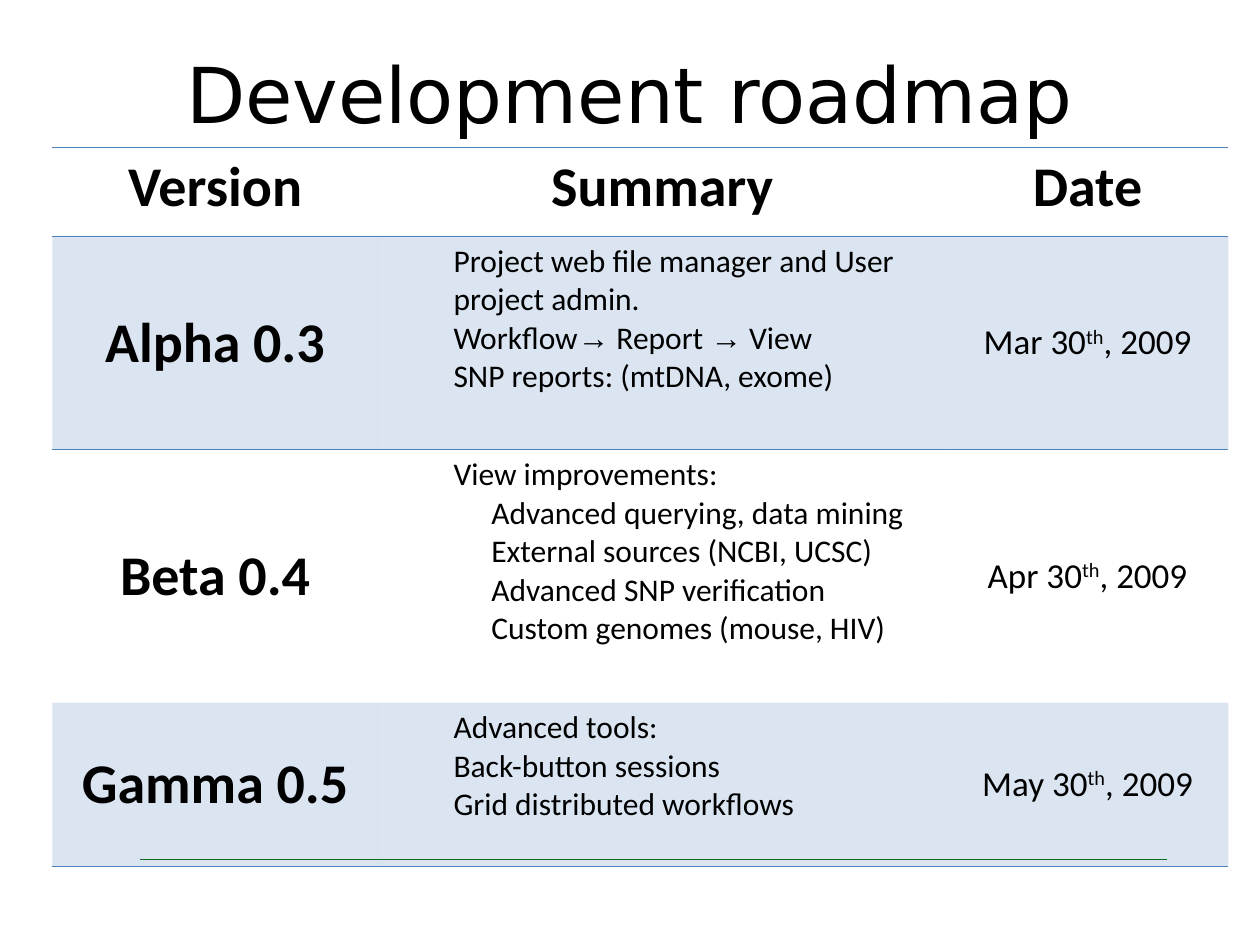
from itertools import groupby

from lxml import etree
from pptx import Presentation
from pptx.dml.color import RGBColor
from pptx.enum.shapes import MSO_CONNECTOR
from pptx.enum.text import MSO_ANCHOR, PP_ALIGN
from pptx.oxml.ns import qn
from pptx.util import Pt

CENTER, LEFT = PP_ALIGN.CENTER, PP_ALIGN.LEFT
TOP, MIDDLE = MSO_ANCHOR.TOP, MSO_ANCHOR.MIDDLE
STRAIGHT = MSO_CONNECTOR.STRAIGHT
NO_STYLE = "{2D5ABB26-0587-4C30-8999-92F81FD0307C}"
BLACK, BLUE, GREEN = "000000", "4F81BD", "006600"
ARROW, SUFFIX = "→", "th"

TITLE = {"name": "DejaVu Sans", "size": Pt(44)}
HEAD = {"name": "Calibri", "size": Pt(32), "bold": True}
BODY = {"name": "Calibri", "size": Pt(18), "bold": False}
DATE = {"name": "Calibri", "size": Pt(20), "bold": False}
INDENTS = {1: 36, 2: 57.6}

COLUMNS = [186, 325, 161]
ROWS = [51, 122, 144.5, 93.5]
HEADINGS = ["Version", "Summary", "Date"]
RELEASES = [
    ("Alpha 0.3", [
        (1, "Project web file manager and User project admin."),
        (1, "Workflow→ Report → View"),
        (1, "SNP reports: (mtDNA, exome)"),
    ], "Mar 30th, 2009"),
    ("Beta 0.4", [
        (1, "View improvements:"),
        (2, "Advanced querying, data mining"),
        (2, "External sources (NCBI, UCSC)"),
        (2, "Advanced SNP verification"),
        (2, "Custom genomes (mouse, HIV)"),
    ], "Apr 30th, 2009"),
    ("Gamma 0.5", [
        (1, "Advanced tools:"),
        (1, "Back-button sessions"),
        (1, "Grid distributed workflows"),
    ], "May 30th, 2009"),
]


def color(value):
    return RGBColor.from_string(value)


def add_run(p, text, fmt):
    r = p.add_run()
    r.text = text
    for key, value in fmt.items():
        setattr(r.font, key, value)
    r.font.color.rgb = color(BLACK)
    return r


def write_centered(tf, text, fmt):
    p = tf.paragraphs[0]
    p.alignment = CENTER
    add_run(p, text, fmt)


def write_summary(tf, lines):
    for i, (level, text) in enumerate(lines):
        p = tf.add_paragraph() if i else tf.paragraphs[0]
        p.alignment, p.level = LEFT, level
        pPr = p._p.get_or_add_pPr()
        pPr.set("marL", str(Pt(INDENTS[level])))
        pPr.set("indent", "0")
        for is_arrow, chars in groupby(text, lambda c: c == ARROW):
            font = "Arial" if is_arrow else "Calibri"
            add_run(p, "".join(chars), {**BODY, "name": font})


def write_date(tf, text):
    p = tf.paragraphs[0]
    p.alignment = CENTER
    for part in text.partition(SUFFIX):
        r = add_run(p, part, DATE)
        if part == SUFFIX:
            r._r.get_or_add_rPr().set("baseline", "30000")


def set_border(cell, side):
    tcPr = cell._tc.get_or_add_tcPr()
    ln = etree.SubElement(tcPr, qn(f"a:{side}"), w=str(Pt(0.45)))
    fill = etree.SubElement(ln, qn("a:solidFill"))
    etree.SubElement(fill, qn("a:srgbClr"), val=BLUE)


def set_fill(cell, banded):
    if not banded:
        cell.fill.background()
        return
    cell.fill.solid()
    cell.fill.fore_color.rgb = color(BLUE)
    clr = cell._tc.tcPr.find(f"{qn('a:solidFill')}/{qn('a:srgbClr')}")
    etree.SubElement(clr, qn("a:alpha"), val="20000")


def add_title(s, text):
    sp = s.shapes.add_textbox(Pt(42), Pt(23), Pt(636), Pt(60))
    tf = sp.text_frame
    tf.word_wrap = True
    tf.vertical_anchor = MIDDLE
    write_centered(tf, text, TITLE)


def add_rule(s):
    line = s.shapes.add_connector(STRAIGHT, Pt(80), Pt(491), Pt(667), Pt(491))
    line.line.color.rgb = color(GREEN)
    line.line.width = Pt(0.75)
    etree.SubElement(line._element.spPr, qn("a:effectLst"))


def add_roadmap(s):
    frame = s.shapes.add_table(len(ROWS), len(COLUMNS), Pt(30), Pt(84),
                               Pt(sum(COLUMNS)), Pt(sum(ROWS)))
    table = frame.table
    table.first_row = table.horz_banding = False
    table._tbl.tblPr.find(qn("a:tableStyleId")).text = NO_STYLE
    for column, width in zip(table.columns, COLUMNS):
        column.width = Pt(width)
    for row, height in zip(table.rows, ROWS):
        row.height = Pt(height)

    for i, row in enumerate(table.rows):
        for j, cell in enumerate(row.cells):
            if i < 2:
                set_border(cell, "lnT")
            if i in (0, len(ROWS) - 1):
                set_border(cell, "lnB")
            set_fill(cell, i % 2 == 1)
            cell.vertical_anchor = TOP if i == 0 or j == 1 else MIDDLE

    for j, heading in enumerate(HEADINGS):
        write_centered(table.cell(0, j).text_frame, heading, HEAD)
    for i, (version, lines, date) in enumerate(RELEASES, 1):
        write_centered(table.cell(i, 0).text_frame, version, HEAD)
        write_summary(table.cell(i, 1).text_frame, lines)
        write_date(table.cell(i, 2).text_frame, date)


def main():
    prs = Presentation()
    prs.slide_width, prs.slide_height = Pt(720), Pt(540)
    s = prs.slides.add_slide(prs.slide_layouts[6])
    add_rule(s)
    add_title(s, "Development roadmap")
    add_roadmap(s)
    prs.save("out.pptx")


if __name__ == "__main__":
    main()
